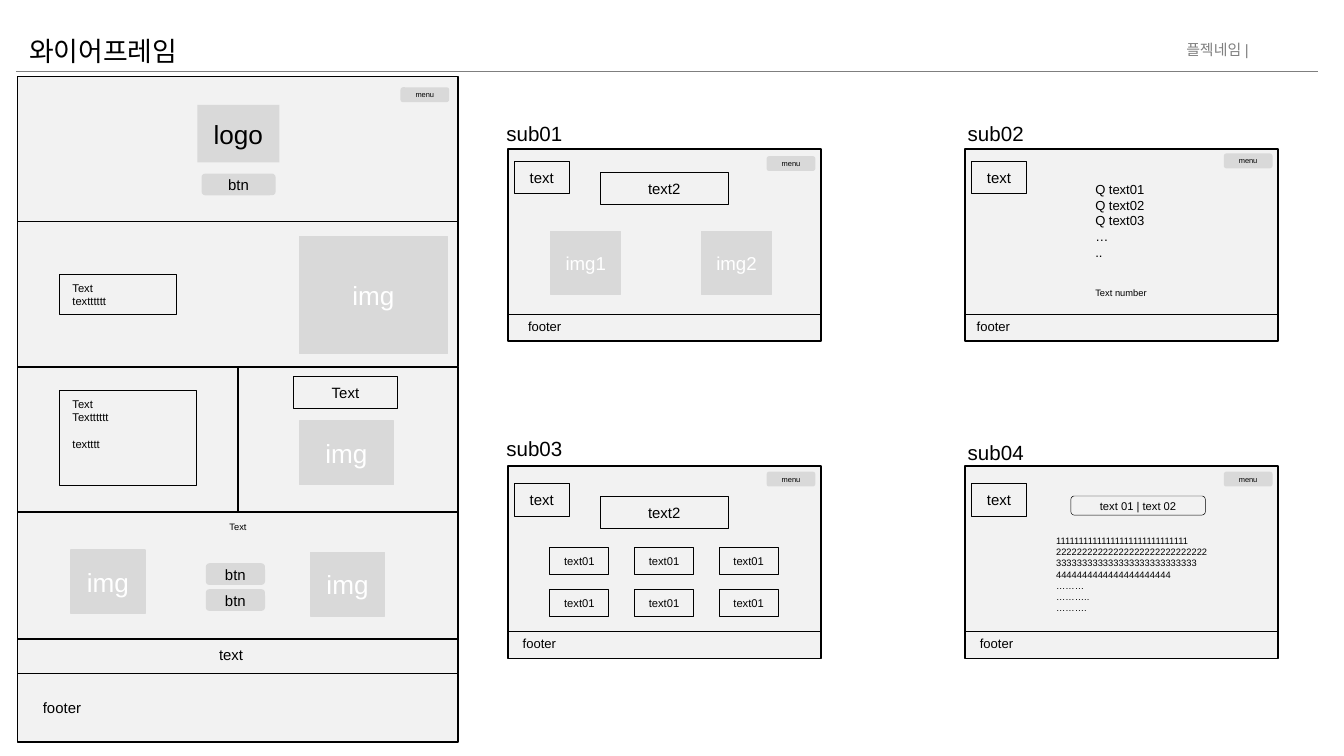
from pptx import Presentation
from pptx.util import Cm, Pt
from pptx.dml.color import RGBColor
from pptx.enum.shapes import MSO_SHAPE as Shape, MSO_CONNECTOR as Connector
from pptx.enum.text import PP_ALIGN as Align, MSO_ANCHOR as Anchor
from pptx.oxml.ns import qn
from lxml import etree

BLACK, WHITE, MID = "000000", "FFFFFF", "7F7F7F"
PANEL, BLOCK = "F2F2F2", "D9D9D9"


def color(hex_value):
    return RGBColor.from_string(hex_value)


def write(frame, text, size=8, ink=BLACK, align=Align.LEFT, anchor=Anchor.TOP,
          side=0.25, right=0, edge=0.13, gaps=None):
    """Put one paragraph per line; gaps maps a line index to its space before."""
    frame.word_wrap = True
    frame.vertical_anchor = anchor
    frame.margin_left, frame.margin_right = Cm(side), Cm(right)
    frame.margin_top = frame.margin_bottom = Cm(edge)
    for i, line in enumerate(text.split("\n")):
        para = frame.paragraphs[0] if i == 0 else frame.add_paragraph()
        para.alignment = align
        para.space_before = Pt((gaps or {}).get(i, 0))
        run = para.add_run()
        run.text = line
        run.font.size, run.font.name = Pt(size), "Arial"
        run.font.color.rgb = color(ink)


class Wireframe:
    centred = dict(align=Align.CENTER, anchor=Anchor.MIDDLE, side=0, edge=0)

    def __init__(self, slide):
        self.slide = slide

    def title(self, text, x, y, w, h):
        heading = self.slide.shapes.title
        heading.left, heading.top, heading.width, heading.height = map(Cm, (x, y, w, h))
        write(heading.text_frame, text, size=14.4, anchor=Anchor.MIDDLE)

    def label(self, text, x, y, w, h, **style):
        holder = self.slide.shapes.add_textbox(Cm(x), Cm(y), Cm(w), Cm(h))
        write(holder.text_frame, text, **style)

    def box(self, x, y, w, h, text="", fill=None, line=None, weight=0.5,
            kind=Shape.RECTANGLE, **style):
        box = self.slide.shapes.add_shape(kind, Cm(x), Cm(y), Cm(w), Cm(h))
        box.shadow.inherit = False
        if fill:
            box.fill.solid()
            box.fill.fore_color.rgb = color(fill)
        else:
            box.fill.background()
        if line:
            box.line.color.rgb = color(line)
            box.line.width = Pt(weight)
        else:
            box.line.fill.background()
        if text:
            write(box.text_frame, text, **style)

    def panel(self, x, y, w, h, weight=0.75):
        self.box(x, y, w, h, fill=PANEL, line=BLACK, weight=weight)

    def frame(self, text, x, y, w, h, size=8):
        self.box(x, y, w, h, text, line=BLACK, size=size, **self.centred)

    def image(self, text, x, y, w, h, size=14):
        self.box(x, y, w, h, text, fill=BLOCK, line=BLOCK, weight=0.75,
                 size=size, ink=WHITE, **self.centred)

    def button(self, x, y, w):
        self.box(x, y, w, 0.41, "btn", fill=BLOCK,
                 kind=Shape.ROUNDED_RECTANGLE, **self.centred)

    def menu(self, x, y):
        self.box(x, y, 0.92, 0.28, "menu", fill=BLOCK, size=4,
                 kind=Shape.FLOWCHART_ALTERNATE_PROCESS, **self.centred)

    def rule(self, x1, y1, x2, y2, ink=BLACK, weight=0.75):
        rule = self.slide.shapes.add_connector(
            Connector.STRAIGHT, Cm(x1), Cm(y1), Cm(x2), Cm(y2))
        rule.line.color.rgb = color(ink)
        rule.line.width = Pt(weight)
        etree.SubElement(rule._element.spPr, qn("a:effectLst"))


deck = Presentation()
deck.slide_width, deck.slide_height = Cm(25.4), Cm(14.28)
page = Wireframe(deck.slides.add_slide(deck.slide_layouts[5]))

# Header
page.label("플젝네임 |", 22.02, 0.64, 1.83, 0.61, size=8, ink=MID,
           align=Align.RIGHT, right=0.25)
page.rule(0.3, 1.35, 24.9, 1.35, ink=MID, weight=1)
page.title("와이어프레임", 0.3, 0.58, 20.4, 0.76)

# Main page sections
MAIN_X, MAIN_W = 0.33, 8.33
section_y = 1.45
for section_h in (2.74, 2.74, 2.74, 3.05, 1.3):
    page.panel(MAIN_X, section_y, MAIN_W, section_h)
    section_y += section_h

# Main page: intro
page.button(3.81, 3.28, 1.4)
page.box(3.73, 1.98, 1.55, 1.09, "logo", fill=BLOCK, size=14, **page.centred)
page.menu(7.57, 1.65)

# Main page: text beside image
page.box(1.12, 5.18, 2.21, 0.76, "Text\ntextttttt", line=BLACK, size=6)
page.image("img", 5.66, 4.47, 2.8, 2.21)

# Main page: two columns
page.box(1.12, 7.37, 2.6, 1.8, "Text\nTextttttt\ntextttt", line=BLACK, size=6,
         gaps={2: 7})
page.rule(4.5, 6.93, 4.5, 9.68)
page.frame("Text", 5.54, 7.11, 1.98, 0.61)
page.image("img", 5.66, 7.95, 1.78, 1.2)

# Main page: images around buttons
page.label("Text", 3.51, 9.73, 1.98, 0.48, size=5, align=Align.CENTER, right=0.25)
page.image("img", 1.34, 10.39, 1.4, 1.2)
for button_y in (10.64, 11.13):
    page.button(3.89, button_y, 1.12)
page.image("img", 5.87, 10.44, 1.4, 1.2)

# Main page: closing text and footer
page.rule(MAIN_X, 12.07, MAIN_X + MAIN_W, 12.07)
page.label("text", 3.89, 12.07, 1.14, 0.61)
page.label("footer", 0.56, 13.06, 3.68, 0.61)

# Sub pages: name, x, y, then offsets of name, tag, menu and footer
SUB_W, SUB_H, FOOT = 5.92, 3.63, 3.12
sub_pages = [
    ("sub01", 9.6, 2.82, (-0.28, -0.66), 0.23, 0.13, 0.13),
    ("sub02", 18.24, 2.82, (-0.2, -0.66), 0.23, 0.08, -0.03),
    ("sub03", 9.6, 8.81, (-0.28, -0.71), 0.33, 0.1, 0.03),
    ("sub04", 18.24, 8.81, (-0.2, -0.63), 0.33, 0.1, 0.03),
]
for name, x, y, (name_dx, name_dy), tag_dy, menu_dy, footer_dx in sub_pages:
    page.panel(x, y, SUB_W, SUB_H, weight=1)
    page.rule(x, y + FOOT, x + SUB_W, y + FOOT)
    page.label(name, x + name_dx, y + name_dy, 2.41, 0.74, size=11)
    page.frame("text", x + 0.12, y + tag_dy, 1.04, 0.61)
    page.menu(x + 4.89, y + menu_dy)
    page.label("footer", x + footer_dx, y + FOOT - 0.05, 1.19, 0.56, size=7)

# sub01 and sub03: headings
for heading_y in (3.25, 9.37):
    page.frame("text2", 11.35, heading_y, 2.41, 0.61)

# sub01: images
for name, x in (("img1", 10.41), ("img2", 13.26)):
    page.image(name, x, 4.37, 1.32, 1.19, size=10)

# sub02: questions
page.label("Q text01\nQ text02\nQ text03\n…\n..", 20.45, 3.3, 2.69, 1.75, size=7)
page.label("Text number", 20.45, 5.31, 1.98, 0.48, size=5)

# sub03: grid of items
for row in range(2):
    for column in range(3):
        page.frame("text01", 10.39 + 1.6 * column, 10.35 + 0.79 * row,
                   1.12, 0.51, size=6)

# sub04: tabs and article
page.box(20.24, 9.37, 2.54, 0.36, "text 01 | text 02", fill=PANEL, line=BLACK,
         weight=0.25, kind=Shape.ROUNDED_RECTANGLE, size=6, **page.centred)
article = ["1" * 29, "2" * 29, "3" * 27, "4" * 22, "………", "………..", "………."]
page.label("\n".join(article), 19.71, 9.98, 3.71, 1.75, size=5)

deck.save("out.pptx")
